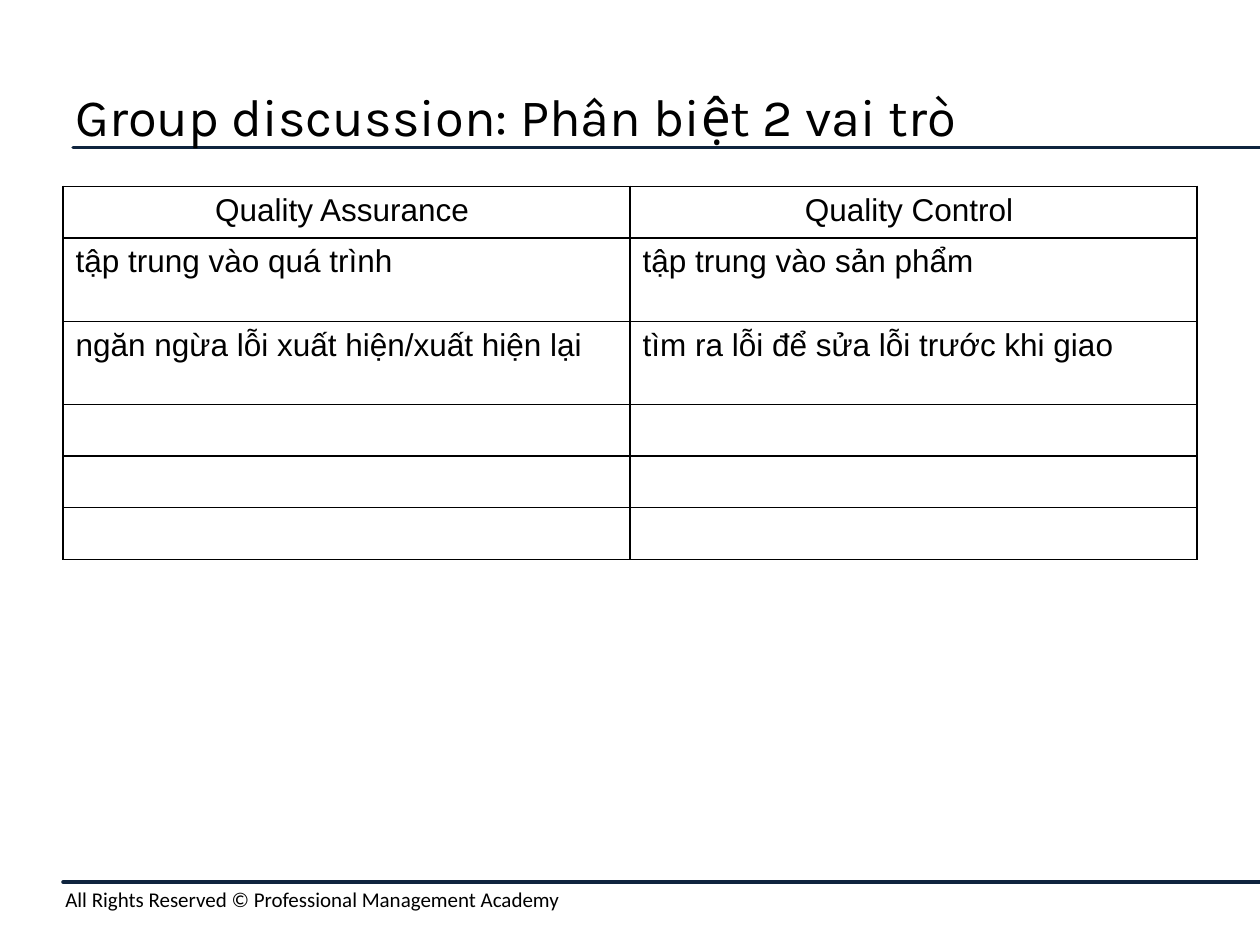
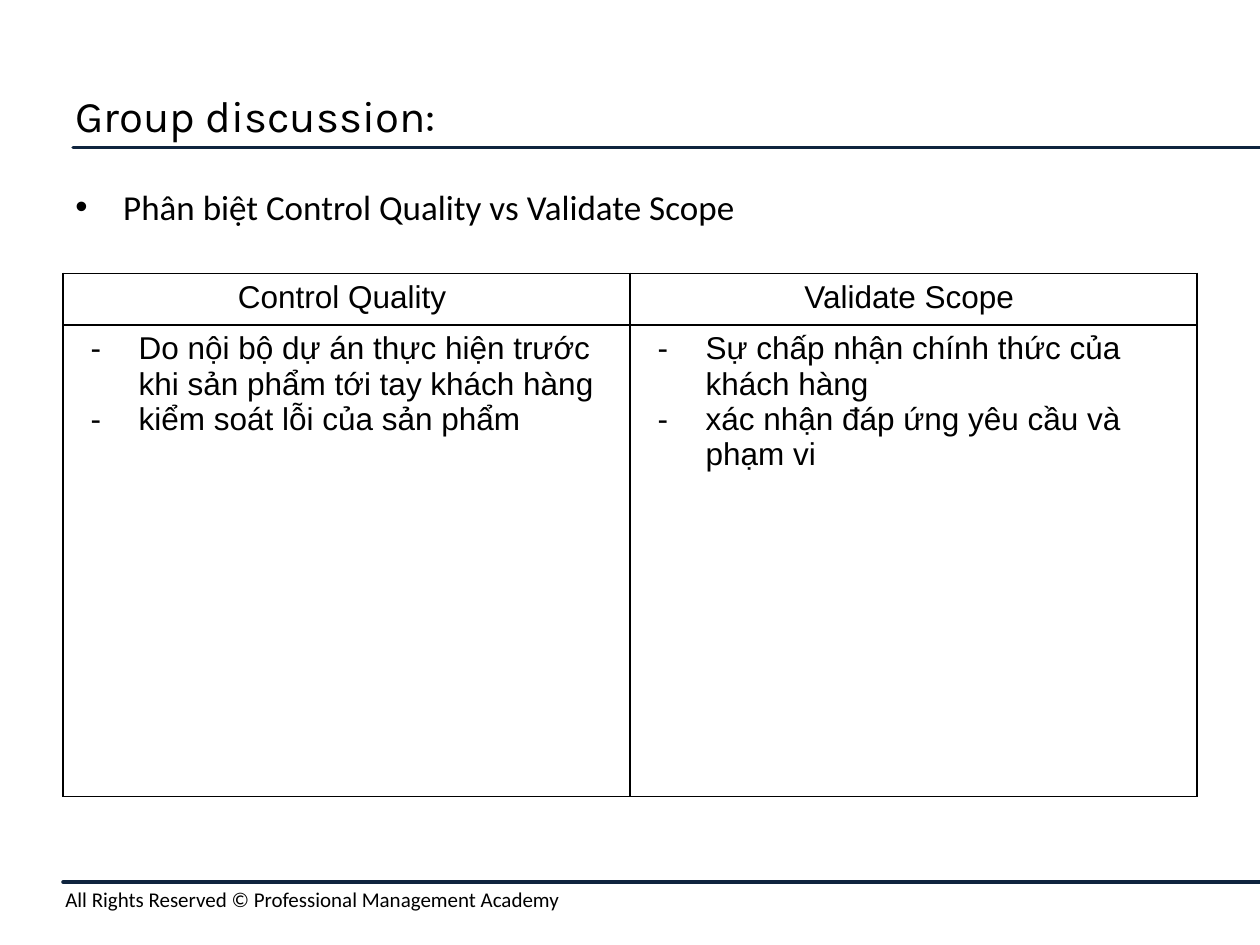
"""Build two group discussion slides that compare quality roles in tables."""
from dataclasses import dataclass

from lxml.etree import SubElement
from pptx import Presentation
from pptx.dml.color import RGBColor
from pptx.enum.shapes import MSO_CONNECTOR as Connector
from pptx.enum.text import MSO_ANCHOR as Anchor, PP_ALIGN as Align
from pptx.oxml.ns import qn
from pptx.slide import Slide
from pptx.table import _Cell as Cell
from pptx.text.text import TextFrame, _Paragraph as Paragraph
from pptx.util import Emu, Inches, Pt


@dataclass(frozen=True)
class Theme:
    ink: RGBColor = RGBColor(0x00, 0x00, 0x00)
    rule: RGBColor = RGBColor(0x0F, 0x24, 0x3E)
    title_font: str = "Karla"
    body_font: str = "Calibri"
    table_font: str = "Arial"
    body_size: int = 20
    table_size: int = 18
    footer_size: int = 12
    rule_width: int = 2
    border_width: int = 1


@dataclass(frozen=True)
class TextStyle:
    font: str
    size: int
    align: Align = Align.LEFT
    bullet: str = ""
    margin: Emu = Inches(0)
    hanging: Emu = Inches(0.38)


@dataclass(frozen=True)
class Area:
    left: float
    top: float
    width: float
    height: float


@dataclass(frozen=True)
class Rule:
    left: float
    top: float


@dataclass(frozen=True)
class Row:
    height: float
    cells: tuple[tuple[str, ...], ...] = ((), ())


@dataclass(frozen=True)
class Comparison:
    title: str
    title_size: int
    table_top: float
    rows: tuple[Row, ...]
    row_bullet: str = ""
    topic: str = ""


THEME = Theme()
PAGE_WIDTH, PAGE_HEIGHT = 10, 7.5
COLUMN_WIDTH = 4.5
TABLE_LEFT = 0.5
RULES = (Rule(0.58, 1.17), Rule(0.5, 7))
TITLE_AREA = Area(0.5, 0.5, 9, 0.83)
TOPIC_AREA = Area(0.5, 1.42, 9, 5.28)
FOOTER_AREA = Area(0.42, 6.99, 9.58, 0.3)
FOOTER = "All Rights Reserved © Professional Management Academy"

FOOTER_STYLE = TextStyle(THEME.body_font, THEME.footer_size)
TOPIC_STYLE = TextStyle(THEME.body_font, THEME.body_size, bullet="•", margin=Inches(0.38))
HEADER_STYLE = TextStyle(THEME.table_font, THEME.table_size, Align.CENTER)

COMPARISONS = (
    Comparison(
        "Group discussion: Phân biệt 2 vai trò", 30, 1.48,
        (
            Row(0.41, (("Quality Assurance ",), ("Quality Control ",))),
            Row(0.66, (("tập trung vào quá trình",), ("tập trung vào sản phẩm",))),
            Row(0.66, (("ngăn ngừa lỗi xuất hiện/xuất hiện lại",),
                       ("tìm ra lỗi để sửa lỗi trước khi giao",))),
            *[Row(0.41)] * 3,
        ),
    ),
    Comparison(
        "Group discussion:", 25, 2.17,
        (
            Row(0.41, (("Control Quality ",), ("Validate Scope ",))),
            Row(3.74, (
                ("Do nội bộ dự án thực hiện trước khi sản phẩm tới tay khách hàng",
                 "kiểm soát lỗi của sản phẩm"),
                ("Sự chấp nhận chính thức của khách hàng",
                 "xác nhận đáp ứng yêu cầu và phạm vi"),
            )),
        ),
        row_bullet="-",
        topic="Phân biệt Control Quality vs Validate Scope",
    ),
)


def add_bullet(para: Paragraph, style: TextStyle) -> None:
    properties = para._p.get_or_add_pPr()
    properties.set("marL", str(style.margin))
    properties.set("indent", str(-style.hanging))
    colour = SubElement(properties, qn("a:buClr"))
    SubElement(colour, qn("a:srgbClr"), val=str(THEME.ink))
    SubElement(properties, qn("a:buFont"), typeface="Arial")
    SubElement(properties, qn("a:buChar"), char=style.bullet)


def write(frame: TextFrame, lines: tuple[str, ...], style: TextStyle) -> None:
    for number, line in enumerate(lines):
        para = frame.add_paragraph() if number else frame.paragraphs[0]
        para.alignment = style.align
        if style.bullet:
            add_bullet(para, style)
        span = para.add_run()
        span.text = line
        span.font.name = style.font
        span.font.size = Pt(style.size)
        span.font.color.rgb = THEME.ink


def add_text(page: Slide, area: Area, text: str, style: TextStyle,
             anchor: Anchor = Anchor.TOP) -> None:
    box = page.shapes.add_textbox(Inches(area.left), Inches(area.top),
                                  Inches(area.width), Inches(area.height))
    box.text_frame.word_wrap = True
    box.text_frame.vertical_anchor = anchor
    write(box.text_frame, (text,), style)


def add_rule(page: Slide, rule: Rule) -> None:
    line = page.shapes.add_connector(Connector.STRAIGHT, Inches(rule.left), Inches(rule.top),
                                     Inches(PAGE_WIDTH), Inches(rule.top))
    line.line.color.rgb = THEME.rule
    line.line.width = Pt(THEME.rule_width)
    line.line._get_or_add_ln().set("cap", "rnd")
    SubElement(line._element.spPr, qn("a:effectLst"))


def style_cell(cell: Cell) -> None:
    properties = cell._tc.get_or_add_tcPr()
    for side in ("a:lnL", "a:lnR", "a:lnT", "a:lnB"):
        border = SubElement(properties, qn(side), w=str(Pt(THEME.border_width)))
        fill = SubElement(border, qn("a:solidFill"))
        SubElement(fill, qn("a:srgbClr"), val=str(THEME.ink))
    cell.fill.background()


def add_comparison_table(page: Slide, comparison: Comparison) -> None:
    rows = comparison.rows
    columns = len(rows[0].cells)
    table = page.shapes.add_table(
        len(rows), columns, Inches(TABLE_LEFT), Inches(comparison.table_top),
        Inches(COLUMN_WIDTH * columns), Inches(sum(row.height for row in rows))).table
    table.first_row = table.horz_banding = False
    entry_style = TextStyle(THEME.table_font, THEME.table_size,
                            bullet=comparison.row_bullet, margin=Inches(0.5))
    for row_number, row in enumerate(rows):
        table.rows[row_number].height = Inches(row.height)
        for column, lines in enumerate(row.cells):
            cell = table.cell(row_number, column)
            style_cell(cell)
            write(cell.text_frame, lines, entry_style if row_number else HEADER_STYLE)


def add_page(deck: Presentation, comparison: Comparison) -> None:
    page = deck.slides.add_slide(deck.slide_layouts[6])
    for rule in RULES:
        add_rule(page, rule)
    add_text(page, FOOTER_AREA, FOOTER, FOOTER_STYLE)
    title_style = TextStyle(THEME.title_font, comparison.title_size)
    add_text(page, TITLE_AREA, comparison.title, title_style, Anchor.MIDDLE)
    if comparison.topic:
        add_text(page, TOPIC_AREA, comparison.topic, TOPIC_STYLE)
    add_comparison_table(page, comparison)


def main() -> None:
    deck = Presentation()
    deck.slide_width, deck.slide_height = Inches(PAGE_WIDTH), Inches(PAGE_HEIGHT)
    for comparison in COMPARISONS:
        add_page(deck, comparison)
    deck.save("out.pptx")


if __name__ == "__main__":
    main()
